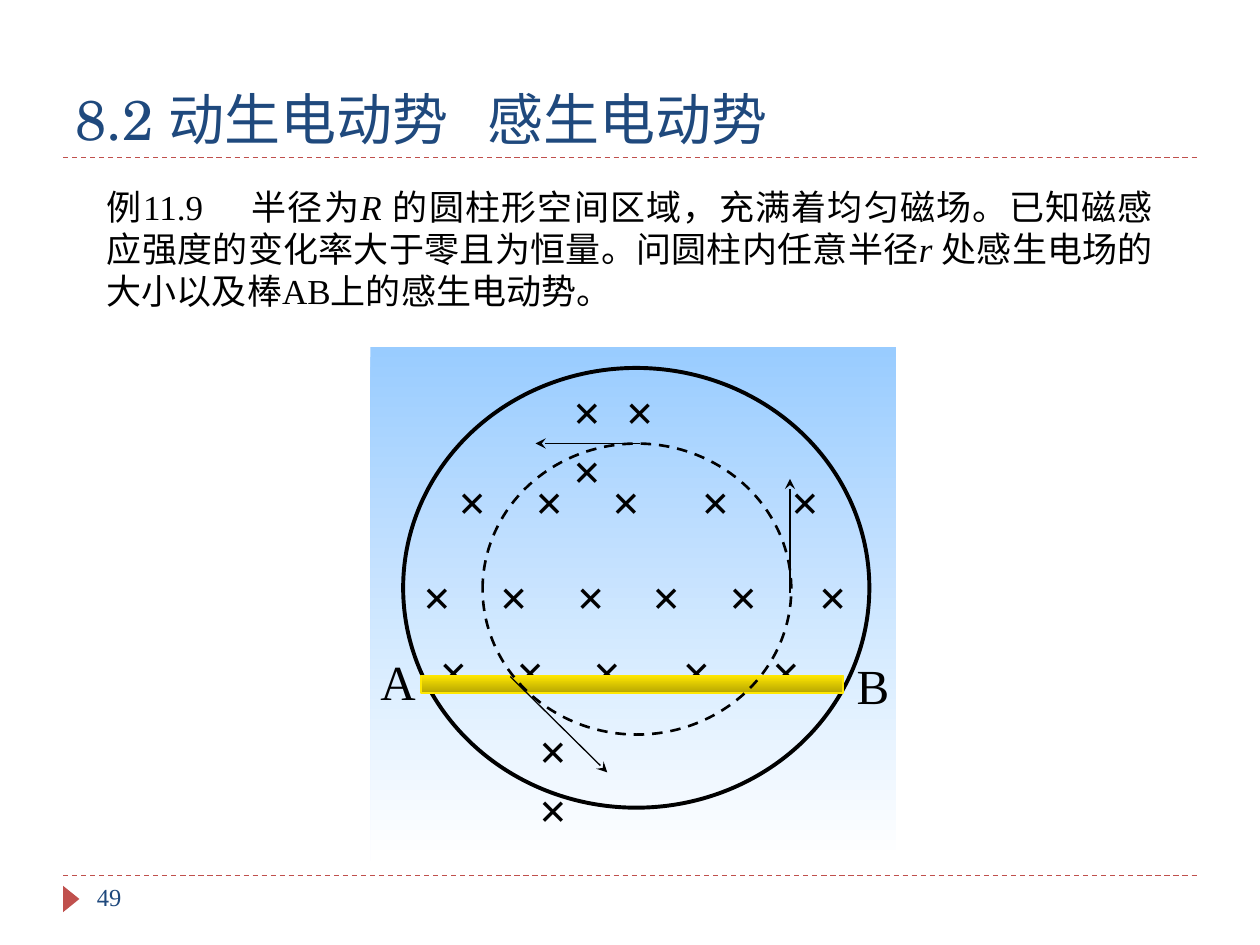
import pptx
import pptx.util
from pptx.dml.color import RGBColor
from pptx.enum.dml import MSO_LINE
from pptx.enum.shapes import MSO_CONNECTOR, MSO_SHAPE
from pptx.enum.text import MSO_ANCHOR, PP_ALIGN
from pptx.oxml.ns import qn
from pptx.util import Inches, Pt
from lxml import etree

NAVY = RGBColor(0x1F, 0x49, 0x7D)
RED = RGBColor(0xC0, 0x50, 0x4D)
BLACK = RGBColor(0, 0, 0)
WHITE = RGBColor(0xFF, 0xFF, 0xFF)
SKY = RGBColor(0x99, 0xCC, 0xFF)
GOLD = RGBColor(0xFF, 0xE7, 0x01)
DARK_GOLD = RGBColor(0xB6, 0xA5, 0x01)
SERIF = "Times New Roman"
TITLE_FACE = "TeX Gyre Schola"

# Field symbols: left and top within the figure, tab stops, text, wrap
FIELD_ROWS = [
    (0.45, 2.29, 3.33, (0.61, 1.22, 1.93, 2.64), "×\t×\t×\t×\t×"),
    (0.60, 0.94, 3.33, (0.61, 1.22, 1.93, 2.64), "×\t×\t×\t×\t×"),
    (1.51, 0.23, 1.33, (0.42,), "×\t×\v×"),
    (0.32, 1.70, 3.74, (0.61, 1.22, 1.82, 2.43, 3.14), "×\t×\t×\t×\t×\t×"),
    (1.24, 2.92, 1.50, (), "×\v×"),
]
# Induced field directions: start and end within the figure
FIELD_ARROWS = [
    ((1.11, 2.62), (1.88, 3.38)),
    ((3.33, 1.96), (3.33, 1.05)),
    ((2.14, 0.77), (1.31, 0.77)),
]


def add_text(shapes, box, runs, size, color=BLACK, face=SERIF, bold=False, tabs=()):
    """Add one paragraph; runs are (text, italic) pairs."""
    frame = shapes.add_textbox(*map(Inches, box)).text_frame
    frame.word_wrap = True
    paragraph = frame.paragraphs[0]
    if tabs:
        tab_list = etree.SubElement(paragraph._p.get_or_add_pPr(), qn("a:tabLst"))
        for stop in tabs:
            etree.SubElement(tab_list, qn("a:tab"), pos=str(Inches(stop)), algn="l")
    for words, italic in runs:
        if italic:
            run = paragraph.add_run()
            run.text = words
            run.font.italic = True
        else:
            for i, line in enumerate(words.split("\v")):
                if i:
                    paragraph.add_line_break()
                paragraph.add_run().text = line
    font = paragraph.font
    font.name, font.size, font.bold = face, Pt(size), bold
    font.color.rgb = color
    return frame


def add_line(shapes, start, end, color, dash=None, arrow=False):
    line = shapes.add_connector(
        MSO_CONNECTOR.STRAIGHT, *map(Inches, (*start, *end)))
    line.line.color.rgb = color
    line.line.width = Pt(0.75)
    if dash:
        line.line.dash_style = dash
    if arrow:
        etree.SubElement(line.line._get_or_add_ln(), qn("a:tailEnd"), type="stealth")
    etree.SubElement(line._element.spPr, qn("a:effectLst"))


def add_figure_shape(shapes, kind, box, gradient=None, outline=None, width=0.75, dash=None):
    shape = shapes.add_shape(kind, *map(Inches, box))
    shape.shadow.inherit = False
    if gradient:
        shape.fill.gradient()
        shape.fill.gradient_angle = 270
        for stop, color in zip(shape.fill.gradient_stops, gradient):
            stop.color.rgb = color
    else:
        shape.fill.background()
    if outline is None:
        shape.line.fill.background()
    else:
        shape.line.color.rgb = outline
        shape.line.width = Pt(width)
        if dash:
            shape.line.dash_style = dash


def build_header(shapes, left, top, width, height):
    bottom = top + height
    add_line(shapes, (left, bottom), (left + width, bottom), RED, MSO_LINE.DASH)
    title = add_text(shapes, (left, top, width, height),
                     [("8.2 动生电动势\t感生电动势", False)],
                     32, NAVY, TITLE_FACE, tabs=(3.27,))
    title.vertical_anchor = MSO_ANCHOR.BOTTOM


def build_footer(shapes, left, top, width, height):
    add_line(shapes, (left, top), (left + width, top), RED, MSO_LINE.DASH)
    marker = shapes.add_shape(MSO_SHAPE.ISOSCELES_TRIANGLE, Inches(left - 0.04),
                              Inches(top + 0.12), Inches(0.21), Inches(0.13))
    marker.rotation = 90
    marker.shadow.inherit = False
    marker.fill.solid()
    marker.fill.fore_color.rgb = RED
    marker.line.fill.background()
    add_text(shapes, (left + 0.17, top, 2.17, height), [("49", False)], 14, NAVY)


def build_problem(shapes, left, top, width, height):
    runs = [
        ("例11.9\t半径为", False), ("R ", True),
        ("的圆柱形空间区域，充满着均匀磁场。已知磁感应强度的变化率大于零且为恒量。"
         "问圆柱内任意半径", False), ("r ", True),
        ("处感生电场的大小以及棒AB上的感生电动势。", False),
    ]
    frame = add_text(shapes, (left, top, width, height), runs, 20, tabs=(1.13,))
    frame.paragraphs[0].alignment = PP_ALIGN.JUSTIFY
    frame.paragraphs[0].line_spacing = Pt(24)


def build_field_figure(shapes, left, top, width, height):
    """Draw the cylinder cross-section, its field, and rod AB."""
    figure = shapes.add_group_shape().shapes

    def place(x, y, *size):
        return (left + x, top + y, *size)

    add_figure_shape(figure, MSO_SHAPE.RECTANGLE, place(0, 0, width, height), (SKY, WHITE))
    add_figure_shape(figure, MSO_SHAPE.OVAL, place(0.26, 0.17, 3.7, 3.49),
                     outline=BLACK, width=2.25)
    for x, y, row_width, tabs, crosses in FIELD_ROWS:
        add_text(figure, place(x, y, row_width, 0.57), [(crosses, False)],
                 28, bold=True, tabs=tabs)
    add_figure_shape(figure, MSO_SHAPE.RECTANGLE, place(0.4, 2.61, 3.35, 0.14),
                     (GOLD, DARK_GOLD), GOLD)
    for end, x, y in (("A", -0.02, 2.37), ("B", 3.76, 2.4)):
        add_text(figure, place(x, y, 0.48, 0.57), [(end, False)], 28)
    add_figure_shape(figure, MSO_SHAPE.OVAL, place(0.89, 0.77, 2.45, 2.31),
                     outline=BLACK, width=1.5, dash=MSO_LINE.DASH)
    for start, end in FIELD_ARROWS:
        add_line(figure, place(*start), place(*end), BLACK, arrow=True)


def main():
    deck = pptx.Presentation()
    deck.slide_width, deck.slide_height = Inches(10), Inches(7.5)
    shapes = deck.slides.add_slide(deck.slide_layouts[6]).shapes
    build_footer(shapes, 0.5, 6.95, 9, 0.4)
    build_header(shapes, 0.5, 0.25, 9, 1)
    build_problem(shapes, 0.75, 1.42, 8.5, 1.11)
    build_field_figure(shapes, 2.94, 2.75, 4.17, 4.08)
    deck.save("out.pptx")


if __name__ == "__main__":
    main()
